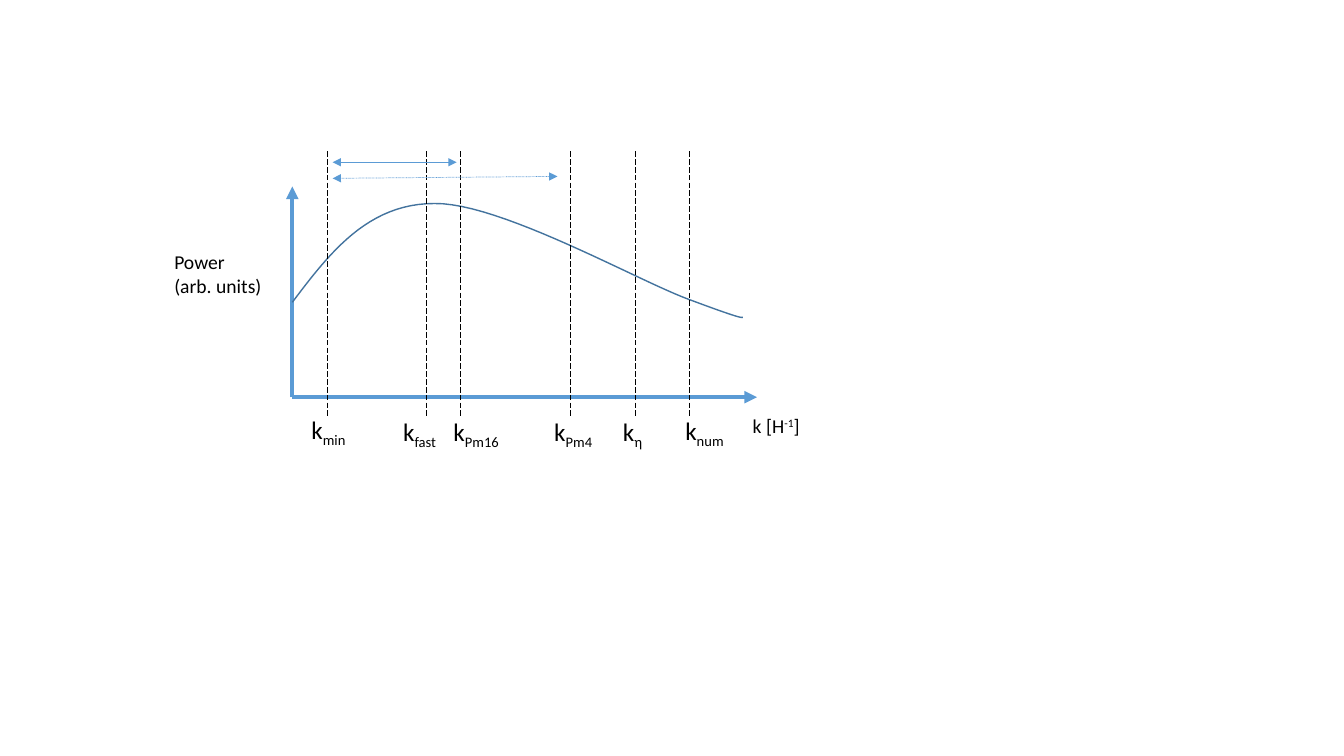
from lxml.etree import SubElement
from pptx import Presentation
from pptx.dml.color import RGBColor
from pptx.enum.dml import MSO_LINE_DASH_STYLE as DASH
from pptx.enum.shapes import MSO_CONNECTOR as CONN
from pptx.enum.text import MSO_AUTO_SIZE as FIT
from pptx.oxml.ns import qn
from pptx.util import Pt

COLORS = {"axis": "5B9BD5", "curve": "43739E", "ink": "000000"}
FONT = "Calibri"
SUB, SUP = -25000, 30000

# Wavenumber: subscript, guide x, label left, label top, label width
WAVENUMBERS = [
    ("min", 25.2, 6.5, 184.3, 44.6),
    ("fast", 95.8, 72, 185.8, 44.6),
    ("Pm16", 120.2, 108, 185.8, 52.6),
    ("Pm4", 198.7, 180, 185.8, 44.6),
    ("η", 244.8, 229, 185.8, 44.6),
    ("num", 283.7, 273.6, 185, 44.6),
]
# Chained cubic segments: start, then two controls and an end for each
SPECTRUM = [(0, 108), (26.6, 72.7), (54, 37.4), (101.5, 37.4),
            (148.3, 36.7), (246.2, 92.2), (283, 105.8),
            (319.7, 119.5), (320.4, 118.8), (321.8, 118.8)]


def rgb(name):
    return RGBColor.from_string(COLORS[name])


def add_line(slide, start, end, color, width, dash=None, ends=()):
    c = slide.shapes.add_connector(CONN.STRAIGHT, *(Pt(v) for v in (*start, *end)))
    c.line.color.rgb = rgb(color)
    c.line.width = Pt(width)
    if dash:
        c.line.dash_style = dash
    ln = c.line._get_or_add_ln()
    for end_tag in ends:
        SubElement(ln, qn(f"a:{end_tag}"), type="triangle")
    SubElement(c._element.spPr, qn("a:effectLst"))


def add_text(slide, left, top, width, height, size, paragraphs):
    """Each paragraph is a list of (text, baseline shift) runs."""
    tf = slide.shapes.add_textbox(Pt(left), Pt(top), Pt(width), Pt(height)).text_frame
    tf.word_wrap = True
    tf.auto_size = FIT.SHAPE_TO_FIT_TEXT
    for i, runs in enumerate(paragraphs):
        p = tf.add_paragraph() if i else tf.paragraphs[0]
        for text, shift in runs:
            r = p.add_run()
            r.text = text
            r.font.name, r.font.size = FONT, Pt(size)
            r.font.color.rgb = rgb("ink")
            if shift:
                r._r.get_or_add_rPr().set("baseline", str(shift))


def bezier(p0, p1, p2, p3, steps=24):
    for i in range(1, steps + 1):
        t = i / steps
        u = 1 - t
        yield tuple(u**3 * a + 3 * u * u * t * b + 3 * u * t * t * c + t**3 * d
                    for a, b, c, d in zip(p0, p1, p2, p3))


def add_axes(slide, x, y, w, base):
    origin = (x, y + base)
    for end in ((x, y + 25.2), (x + w, y + base)):
        add_line(slide, origin, end, "axis", 3, ends=["tailEnd"])
    add_text(slide, x - 91.4, y + 67, 90.7, 41, 14,
             [[("Power", 0)], [("(arb. units)", 0)]])
    add_text(slide, x + 321.8, y + 184.3, 90.7, 24.5, 14,
             [[("k [H", 0), ("-1", SUP), ("]", 0)]])


def add_spectrum(slide, x, y):
    points = [SPECTRUM[0]]
    for i in range(0, len(SPECTRUM) - 1, 3):
        points += bezier(*SPECTRUM[i:i + 4])
    points = [(Pt(x + px), Pt(y + py)) for px, py in points]
    fb = slide.shapes.build_freeform(*points[0])
    fb.add_line_segments(points[1:], close=False)
    sp = fb.convert_to_shape()
    sp.shadow.inherit = False
    sp.fill.background()
    sp.line.color.rgb = rgb("curve")
    sp.line.width = Pt(1)


def add_wavenumbers(slide, x, y, h):
    for name, guide, left, top, width in WAVENUMBERS:
        add_line(slide, (x + guide, y), (x + guide, y + h), "ink", 0.5, DASH.LONG_DASH)
        add_text(slide, x + left, y + top, width, 29, 18, [[("k", 0), (name, SUB)]])


def add_ranges(slide, x, y):
    for start_y, end_x, end_y, dash in ((7.9, 117.4, 7.9, None),
                                        (19.4, 189.4, 18, DASH.ROUND_DOT)):
        add_line(slide, (x + 28.8, y + start_y), (x + end_x, y + end_y),
                 "axis", 0.5, dash, ["headEnd", "tailEnd"])


def add_power_plot(slide, x, y, w, h):
    add_axes(slide, x, y, w, h - 13.7)
    add_spectrum(slide, x, y)
    add_wavenumbers(slide, x, y, h)
    add_ranges(slide, x, y)


def main():
    prs = Presentation()
    prs.slide_width, prs.slide_height = Pt(960), Pt(540)
    slide = prs.slides.add_slide(prs.slide_layouts[6])
    add_power_plot(slide, 208.8, 108, 331.9, 189.4)
    prs.save("out.pptx")


if __name__ == "__main__":
    main()
